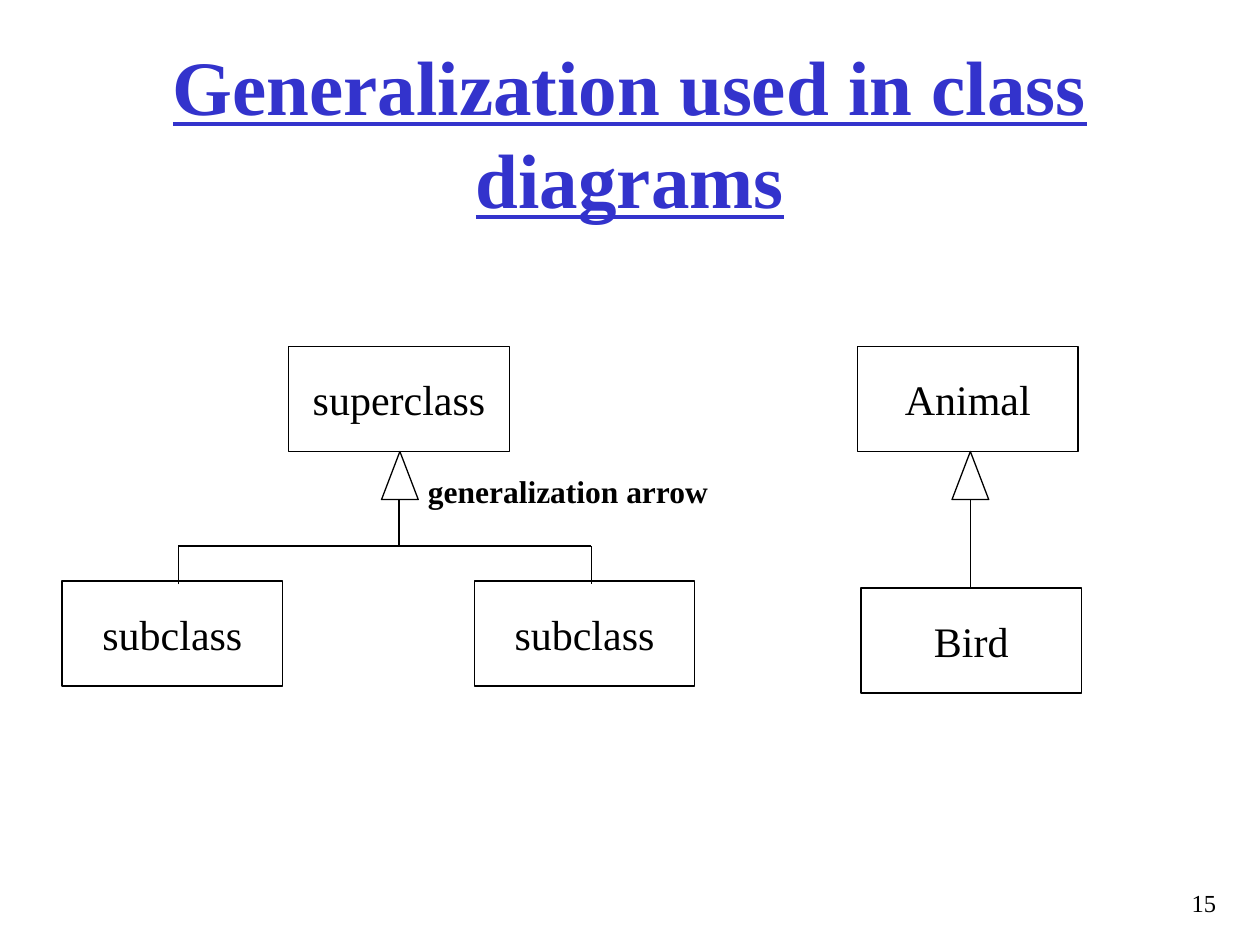
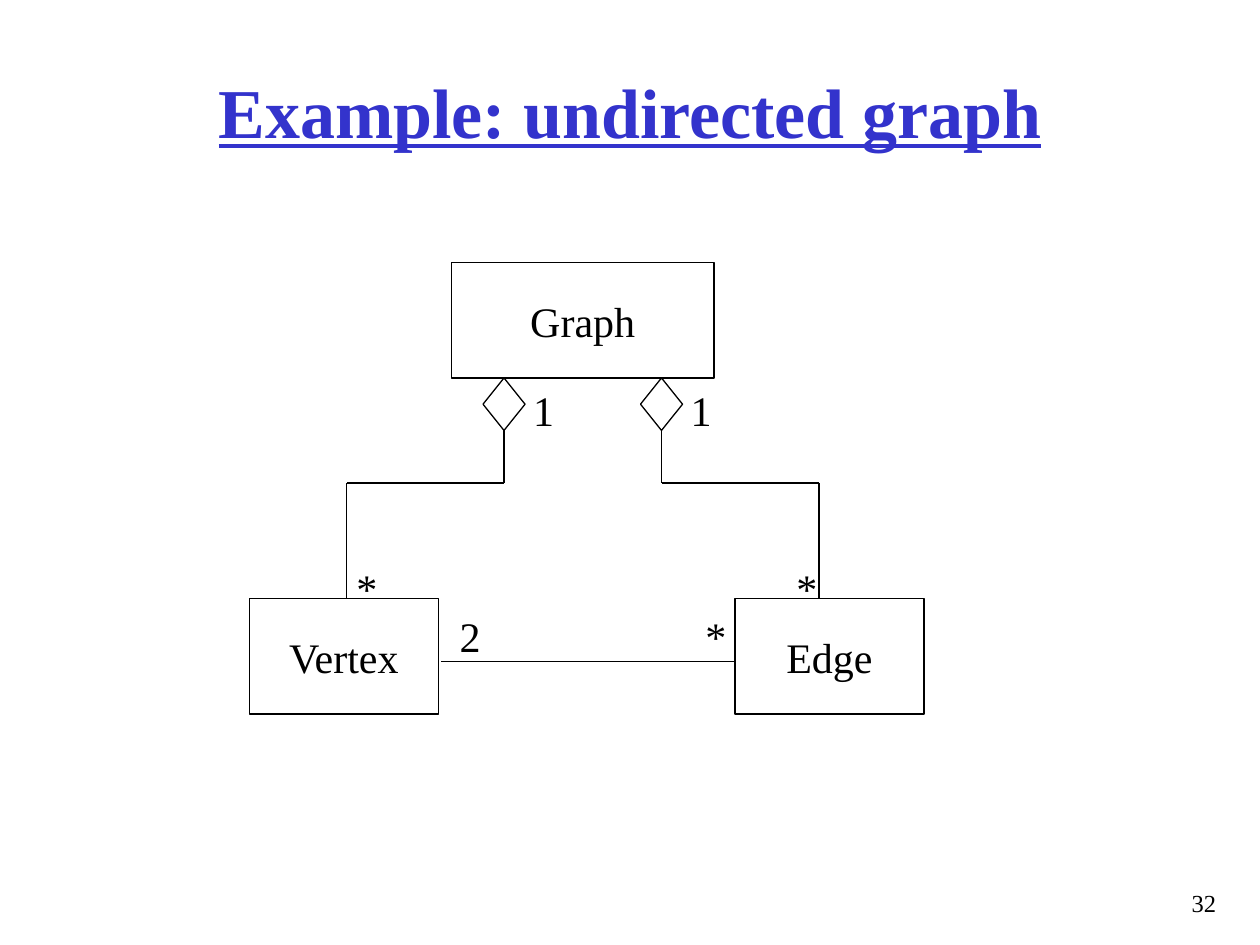
from typing import NamedTuple

from lxml import etree
from pptx import Presentation
from pptx.dml.color import RGBColor
from pptx.enum.shapes import MSO_CONNECTOR, MSO_SHAPE
from pptx.enum.text import MSO_ANCHOR, MSO_AUTO_SIZE, PP_ALIGN
from pptx.oxml.ns import qn
from pptx.shapes.autoshape import Shape
from pptx.shapes.shapetree import GroupShapes, SlideShapes
from pptx.util import Pt

RECTANGLE = MSO_SHAPE.RECTANGLE
TRIANGLE = MSO_SHAPE.ISOSCELES_TRIANGLE
DIAMOND = MSO_SHAPE.DIAMOND
STRAIGHT = MSO_CONNECTOR.STRAIGHT
TOP, MIDDLE = MSO_ANCHOR.TOP, MSO_ANCHOR.MIDDLE
LEFT, CENTER, RIGHT = PP_ALIGN.LEFT, PP_ALIGN.CENTER, PP_ALIGN.RIGHT
GROW = MSO_AUTO_SIZE.SHAPE_TO_FIT_TEXT

BLACK = RGBColor(0x00, 0x00, 0x00)
WHITE = RGBColor(0xFF, 0xFF, 0xFF)
TITLE_BLUE = RGBColor(0x33, 0x33, 0xCC)
FONT = "Times New Roman"
LINE_WIDTH = 0.75
BODY_SIZE = 24

Shapes = SlideShapes | GroupShapes


class Bounds(NamedTuple):
    """Left, top, width and height in points."""
    left: float
    top: float
    width: float
    height: float


class Point(NamedTuple):
    x: float
    y: float


class ClassBox(NamedTuple):
    name: str
    bounds: Bounds


class Label(NamedTuple):
    text: str
    bounds: Bounds
    size: float = BODY_SIZE
    bold: bool = False


class Aggregation(NamedTuple):
    """A diamond under the whole, joined by a bent line to the part."""
    whole_x: float
    part_x: float
    whole_count: Label
    part_count: Label


def write(shape: Shape, text: str, size: float, align: PP_ALIGN,
          anchor: MSO_ANCHOR = TOP, color: RGBColor = BLACK,
          bold: bool = False, underline: bool = False, wrap: bool = False) -> None:
    frame = shape.text_frame
    frame.word_wrap = wrap
    frame.vertical_anchor = anchor
    paragraph = frame.paragraphs[0]
    paragraph.text = text
    paragraph.alignment = align
    font = paragraph.font
    font.name, font.size = FONT, Pt(size)
    font.bold, font.underline = bold, underline
    font.color.rgb = color


def add_outlined(shapes: Shapes, kind: MSO_SHAPE, bounds: Bounds) -> Shape:
    shape = shapes.add_shape(kind, *map(Pt, bounds))
    shape.shadow.inherit = False
    shape.fill.solid()
    shape.fill.fore_color.rgb = WHITE
    shape.line.color.rgb = BLACK
    shape.line.width = Pt(LINE_WIDTH)
    return shape


def add_class_box(shapes: Shapes, box: ClassBox) -> None:
    shape = add_outlined(shapes, RECTANGLE, box.bounds)
    write(shape, box.name, BODY_SIZE, CENTER, MIDDLE)


def add_label(shapes: Shapes, label: Label) -> None:
    box = shapes.add_textbox(*map(Pt, label.bounds))
    write(box, label.text, label.size, LEFT, bold=label.bold)
    box.text_frame.auto_size = GROW


def add_path(shapes: Shapes, *points: Point) -> None:
    """Join consecutive points with straight lines."""
    for start, end in zip(points, points[1:]):
        line = shapes.add_connector(STRAIGHT, *map(Pt, (*start, *end)))
        line.line.color.rgb = BLACK
        line.line.width = Pt(LINE_WIDTH)
        etree.SubElement(line._element.spPr, qn("a:effectLst"))


def add_generalization_head(shapes: Shapes, left: float) -> None:
    add_outlined(shapes, TRIANGLE, Bounds(left, 258, 21, 27.5))


def count_label(text: str, left: float, top: float) -> Label:
    return Label(text, Bounds(left, top, 26, 36))


def add_aggregation(shapes: Shapes, link: Aggregation) -> None:
    members = shapes.add_group_shape().shapes
    add_outlined(members, DIAMOND, Bounds(link.whole_x - 12, 216, 24, 30))
    bend_y = 276
    add_path(members, Point(link.whole_x, 246), Point(link.whole_x, bend_y),
             Point(link.part_x, bend_y), Point(link.part_x, 342))
    add_label(members, link.whole_count)
    add_label(members, link.part_count)


def add_titled_slide(deck: Presentation, title: str, title_top: float,
                     title_size: float, number: int) -> SlideShapes:
    shapes = deck.slides.add_slide(deck.slide_layouts[6]).shapes
    heading = shapes.add_textbox(Pt(54), Pt(title_top), Pt(612), Pt(90))
    write(heading, title, title_size, CENTER, MIDDLE, TITLE_BLUE,
          bold=True, underline=True, wrap=True)
    page = shapes.add_textbox(Pt(336), Pt(504), Pt(366), Pt(24))
    write(page, str(number), 14, RIGHT, wrap=True)
    return shapes


def build_generalization(deck: Presentation) -> None:
    shapes = add_titled_slide(deck, "Generalization used in class diagrams", 30, 44, 15)
    for name, left, top in (
        ("superclass", 165, 198),
        ("subclass", 35.5, 332),
        ("subclass", 271, 332),
        ("Animal", 490, 198),
        ("Bird", 492, 336),
    ):
        add_class_box(shapes, ClassBox(name, Bounds(left, top, 126, 60)))

    branch_y, subclass_y = 312, 334
    add_path(shapes, Point(102, subclass_y), Point(102, branch_y),
             Point(338, branch_y), Point(338, subclass_y))
    add_path(shapes, Point(228, 282), Point(228, branch_y))
    add_path(shapes, Point(554.5, 282), Point(554.5, 336))
    for left in (218, 544):
        add_generalization_head(shapes, left)
    add_label(shapes, Label("generalization arrow", Bounds(237.5, 266, 175, 29), 18, True))


def build_undirected_graph(deck: Presentation) -> None:
    shapes = add_titled_slide(deck, "Example: undirected graph", 18, 40, 32)
    for box in (
        ClassBox("Graph", Bounds(258, 150, 150, 66)),
        ClassBox("Vertex", Bounds(142.5, 342, 108, 66)),
        ClassBox("Edge", Bounds(420, 342, 108, 66)),
    ):
        add_class_box(shapes, box)

    association = shapes.add_group_shape().shapes
    add_path(association, Point(252, 378), Point(420, 378))
    add_label(association, count_label("2", 255.5, 345.5))
    add_label(association, count_label("*", 396, 345.5))

    for link in (
        Aggregation(288, 198, count_label("1", 297.5, 216), count_label("*", 196.5, 318)),
        Aggregation(378, 468, count_label("1", 387.5, 216), count_label("*", 448, 318)),
    ):
        add_aggregation(shapes, link)


def main() -> None:
    deck = Presentation()
    deck.slide_width, deck.slide_height = Pt(720), Pt(540)
    build_generalization(deck)
    build_undirected_graph(deck)
    deck.save("out.pptx")


if __name__ == "__main__":
    main()
